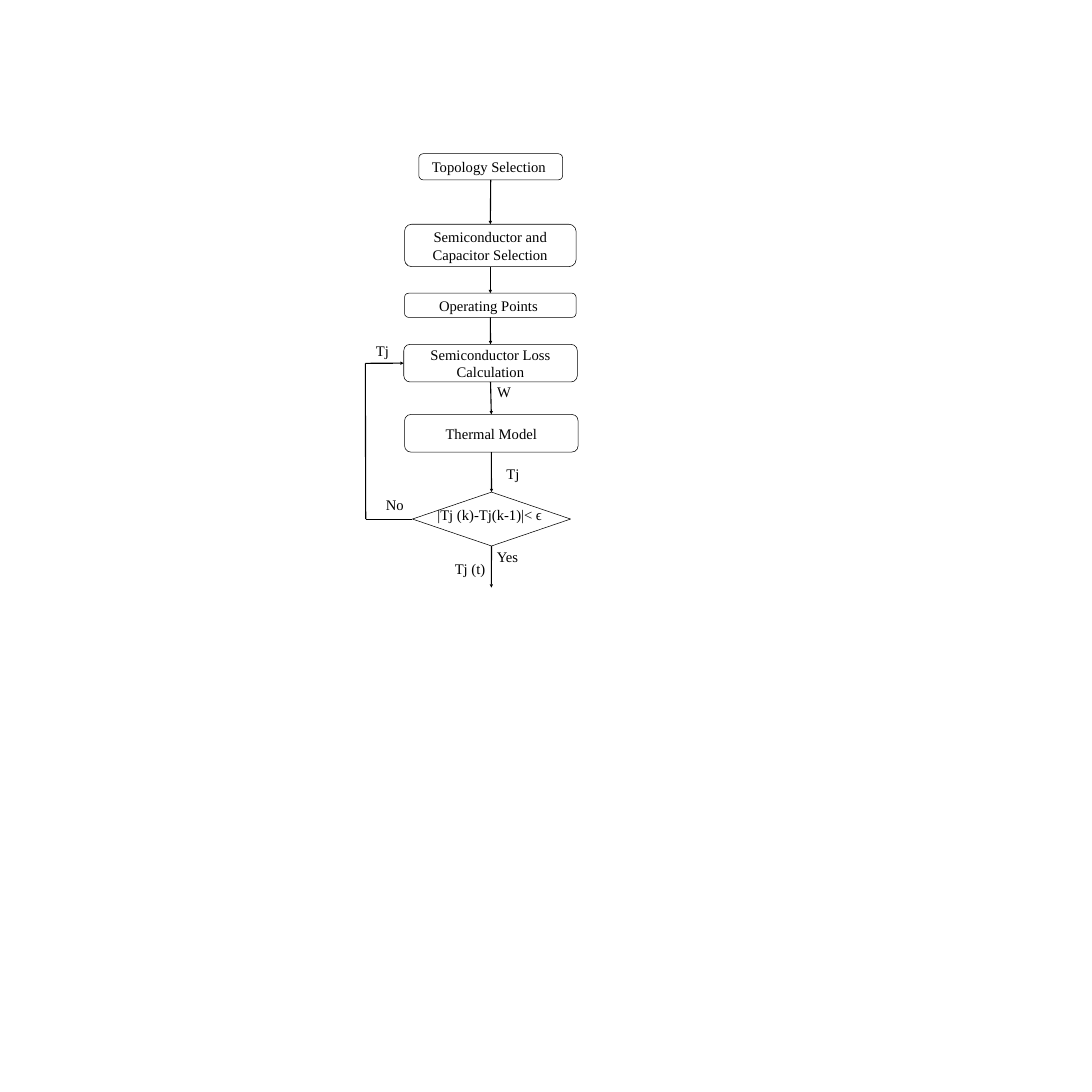
from itertools import pairwise

from pptx import Presentation
from pptx import util as u
from pptx.dml.color import RGBColor
from pptx.enum import shapes, text
from pptx.oxml.ns import qn
from lxml import etree

# Content: lengths in px, 100 px to the inch
PX = 9144
SIDE = 2756
BLACK = RGBColor(0, 0, 0)
FONT, FONT_SIZE = "Times New Roman", 26.6
TOP, LEFT, BOTTOM = 0, 1, 2  # connection sites

STEPS = [  # text, left, top, width, height
    ("Topology Selection ", 1057, 388, 363, 66),
    ("Semiconductor and Capacitor Selection", 1021, 566, 433, 107),
    ("Operating Points ", 1021, 740, 433, 61),
    ("Semiconductor Loss Calculation", 1019, 869, 438, 95),
    ("Thermal Model", 1021, 1046, 438, 95),
]
LOSS_STEP = 3
DECISION = (1041, 1242, 399, 136)
LABELS = [  # text, left, top, width, wraps
    ("W", 1245, 961, 58, False),
    ("Tj", 1268, 1169, 71, True),
    ("|Tj (k)-Tj(k-1)|< ϵ", 1094, 1273, 308, True),
    ("No", 964, 1246, 114, True),
    ("Yes", 1244, 1378, 114, True),
    ("Tj", 939, 859, 62, True),
    ("Tj (t)", 1138, 1409, 106, True),
]
LABEL_HEIGHT = 55
LOOP_TOP, LOOP_BOTTOM = (922, 917), (923, 1310)
EXIT = (1240, 1483)

deck = Presentation()
deck.slide_width = deck.slide_height = u.Emu(SIDE * PX)
page = deck.slides.add_slide(deck.slide_layouts[6])


def emu(*lengths):
    return [u.Emu(length * PX) for length in lengths]


def write(frame, words, align):
    para = frame.paragraphs[0]
    para.alignment = align
    span = para.add_run()
    span.text = words
    span.font.name = FONT
    span.font.size = u.Pt(FONT_SIZE)
    span.font.color.rgb = BLACK


def add_outline(kind, place):
    box = page.shapes.add_shape(kind, *emu(*place))
    box.shadow.inherit = False
    box.fill.background()
    box.line.color.rgb = BLACK
    box.line.width = u.Pt(1)
    return box


def add_step(words, *place):
    box = add_outline(shapes.MSO_SHAPE.ROUNDED_RECTANGLE, place)
    frame = box.text_frame
    frame.word_wrap = True
    frame.vertical_anchor = text.MSO_ANCHOR.MIDDLE
    frame.margin_left, frame.margin_right = emu(15, 15)
    frame.margin_top, frame.margin_bottom = emu(7, 7)
    write(frame, words, text.PP_ALIGN.CENTER)
    return box


def add_label(words, left, top, width, wraps):
    box = page.shapes.add_textbox(*emu(left, top, width, LABEL_HEIGHT))
    box.text_frame.word_wrap = wraps
    box.text_frame.auto_size = text.MSO_AUTO_SIZE.SHAPE_TO_FIT_TEXT
    write(box.text_frame, words, text.PP_ALIGN.LEFT)


def add_line(start, end, arrow=True):
    """Each end is either an (x, y) point or a (shape, site) pair."""
    line = page.shapes.add_connector(shapes.MSO_CONNECTOR.STRAIGHT, 0, 0, 0, 0)
    if isinstance(start[0], int):
        line.begin_x, line.begin_y = emu(*start)
    else:
        line.begin_connect(*start)
    if isinstance(end[0], int):
        line.end_x, line.end_y = emu(*end)
    else:
        line.end_connect(*end)
    line.line.color.rgb = BLACK
    line.line.width = u.Pt(2)
    if arrow:
        stroke = line.line._get_or_add_ln()
        etree.SubElement(stroke, qn("a:tailEnd"), type="triangle")
    etree.SubElement(line._element.spPr, qn("a:effectLst"))


# Steps and decision
flow = [add_step(*step) for step in STEPS]
decision = add_outline(shapes.MSO_SHAPE.DIAMOND, DECISION)
flow.append(decision)

# Downward arrows
for upper, lower in pairwise(flow):
    add_line((upper, BOTTOM), (lower, TOP))
add_line((decision, BOTTOM), EXIT)

# Feedback loop
add_line((decision, LEFT), LOOP_BOTTOM, arrow=False)
add_line(LOOP_TOP, LOOP_BOTTOM, arrow=False)
add_line(LOOP_TOP, (flow[LOSS_STEP], LEFT))

# Labels
for label in LABELS:
    add_label(*label)

deck.save("out.pptx")
